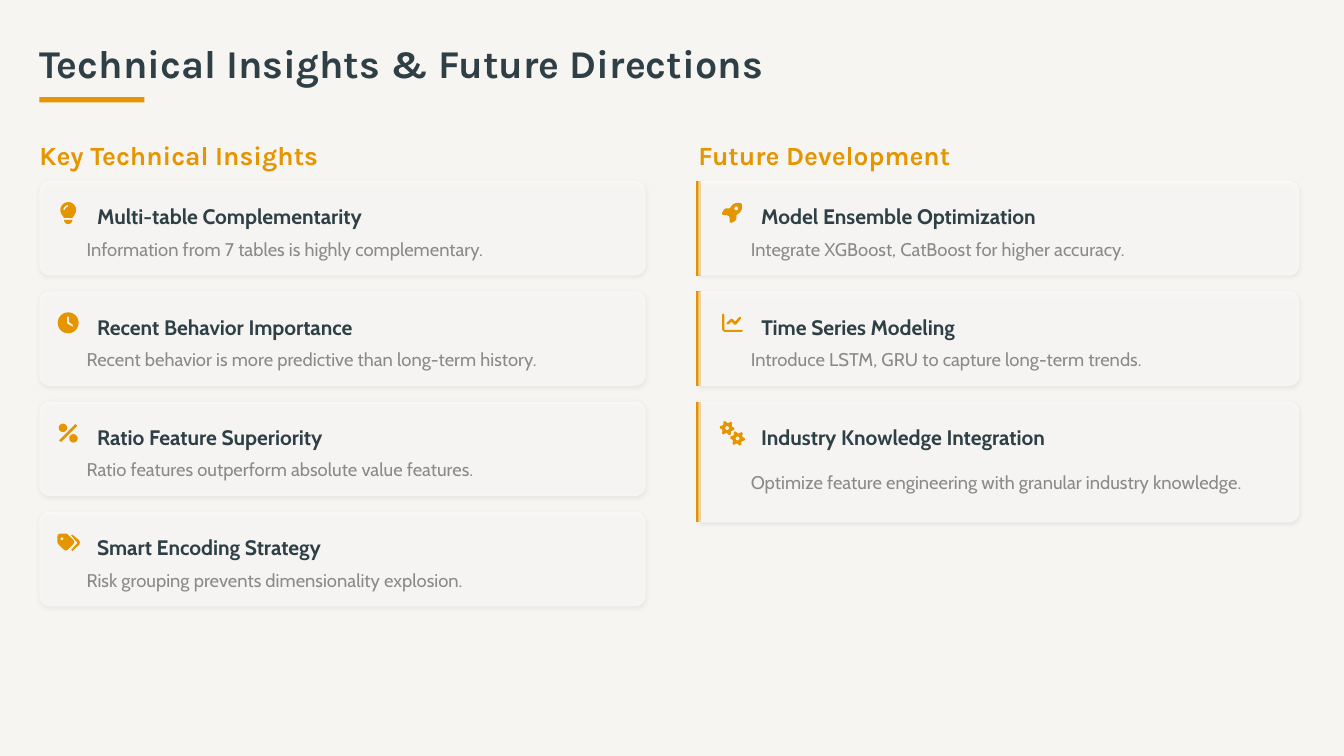
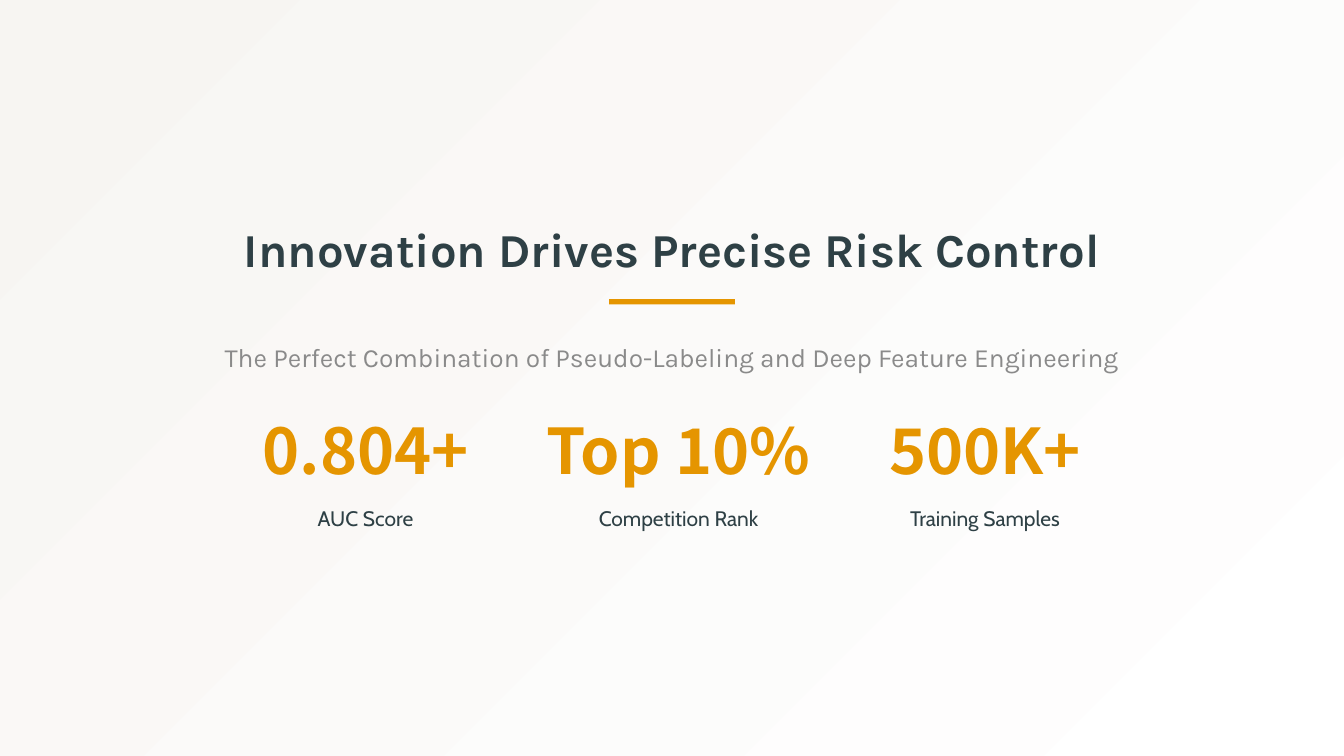
from math import cos, radians, sin

from lxml import etree
from pptx import Presentation
from pptx import util as u
from pptx.dml.color import RGBColor
from pptx.enum import shapes, text
from pptx.oxml.ns import qn

WIDTH, HEIGHT = 1024, 576
PAPER, WHITE, INK, ACCENT, GREY = "F7F5F2", "FFFFFF", "2E4045", "E59500", "8A8A8A"
MARGIN, RIGHT = 30, 532
CARD_TOP, CARD_HEIGHT, CARD_GAP, RADIUS = 138, 72, 12, 8

STYLES = {
    "title": dict(name="Karla", size=30, bold=True, color=INK),
    "heading": dict(name="Karla", size=20, bold=True, color=ACCENT, spacing=1.2),
    "card title": dict(name="Cabin", size=16, bold=True, color=INK, spacing=1.3),
    "card body": dict(name="Cabin", size=14, color=GREY, spacing=1.2),
    "closing title": dict(name="Karla", size=36, bold=True, color=INK, spacing=0.9, centred=True),
    "subtitle": dict(name="Karla", size=20, color=GREY, spacing=1.2, centred=True),
    "value": dict(name="Noto Sans CJK SC", size=48, bold=True, color=ACCENT, spacing=0.8, centred=True),
    "label": dict(name="Cabin", size=16, color=INK, spacing=1.3, centred=True),
}


def rgb(value):
    """Turn a hex string into a colour."""
    return RGBColor.from_string(value)


def arc(x, y, radius, start=0, end=360, steps=24):
    """Return points along an arc, with angles in degrees clockwise from the right."""
    angles = [radians(start + (end - start) * k / steps) for k in range(steps + 1)]
    return [(x + radius * cos(a), y + radius * sin(a)) for a in angles]


def gear(x, y):
    """Return the toothed rim and the hole of a gear."""
    rim = [arc(x, y, 5.6 if k % 4 < 2 else 4, k * 15, steps=1)[0] for k in range(24)]
    return [rim, arc(x, y, 1.5)]


ICONS = {
    "bulb": [
        arc(0, -2, 6, 150, 390) + [(3.2, 4), (-3.2, 4)],
        arc(0, 5.5, 3.2, 0, 180),
        arc(0, -2, 3.7, 180, 270) + arc(0, -2, 2.4, 270, 180),
    ],
    "clock": [
        arc(0, 0, 8),
        [(-0.8, -4.8), (0.8, -4.8), (0.8, -0.5), (4, 1.8), (3.2, 3), (-0.8, 0.5)],
    ],
    "percent": [
        arc(-4, -4, 3.2),
        arc(4, 4, 3.2),
        [(5.5, -6.9), (6.9, -5.5), (-5.5, 6.9), (-6.9, 5.5)],
    ],
    "tags": [
        [(3, -6.7), (8.2, -2.4), (8.9, -0.6), (8.2, 1.2), (3.2, 5.8), (2.2, 5),
         (7, -0.3), (2.2, -6)],
        [(-8.3, -1), (-8.3, -5.4), (-7.7, -6.8), (-6.3, -7.4), (-1.8, -7.4), (-0.4, -6.8),
         (4, -2.4), (4.6, -1), (4, 0.5), (-0.4, 4.9), (-1.7, 5.5), (-3.2, 4.9), (-7.7, 0.5)],
        arc(-4.8, -3.5, 1.1),
    ],
    "rocket": [
        [(-4.3, 1.9), (-7.4, 1.8), (-8, 0.6), (-6.3, -2.4), (-5, -3.2), (-2, -3.2),
         (0.3, -6.2), (3, -7.5), (6, -7.5), (7.3, -6.3), (7.3, -3), (6, -0.3), (3, 2),
         (3, 4.8), (2.2, 6.3), (-0.8, 7.9), (-2, 7.2), (-2, 4), (-2.7, 2.6)],
        arc(3, -3.2, 1.5),
    ],
    "chart": [
        [(-7.9, -6.2), (-7, -7), (-6.1, -6.2), (-6.1, 5.3), (7.2, 5.3), (8, 6.1),
         (7.2, 7), (-6, 7), (-7.9, 5.3)],
        [(6.5, -3.1), (6.5, -4.4), (5.2, -4.4), (2.2, -1), (0, -3), (-1.2, -3),
         (-4.3, 0), (-4.3, 1.2), (-3, 1.3), (-0.6, -0.9), (1.5, 1.4), (2.8, 1.4)],
    ],
    "gears": gear(-4, -3.8) + gear(4, 4.1),
}

INSIGHTS = [
    ("bulb", "Multi-table Complementarity", 244,
     "Information from 7 tables is highly complementary.", 20),
    ("clock", "Recent Behavior Importance", 237,
     "Recent behavior is more predictive than long-term history.", 20),
    ("percent", "Ratio Feature Superiority", 210,
     "Ratio features outperform absolute value features.", 20),
    ("tags", "Smart Encoding Strategy", 208,
     "Risk grouping prevents dimensionality explosion.", 20),
]
PLANS = [
    ("rocket", "Model Ensemble Optimization", 252,
     "Integrate XGBoost, CatBoost for higher accuracy.", 20),
    ("chart", "Time Series Modeling", 182,
     "Introduce LSTM, GRU to capture long-term trends.", 20),
    ("gears", "Industry Knowledge Integration", 266,
     "Optimize feature engineering with granular industry knowledge.", 40),
]
STATS = [
    ("0.804+", "AUC Score", 193),
    ("Top 10%", "Competition Rank", 236),
    ("500K+", "Training Samples", 183),
]


class Painter:
    """Hold the deck style and draw on the current page."""

    def __init__(self):
        """Start an empty deck."""
        self.deck = Presentation()
        self.deck.slide_width, self.deck.slide_height = u.Pt(WIDTH), u.Pt(HEIGHT)
        self.page = None

    def new_page(self):
        """Add a blank page on the paper colour."""
        self.page = self.deck.slides.add_slide(self.deck.slide_layouts[6])
        fill = self.page.background.fill
        fill.solid()
        fill.fore_color.rgb = rgb(PAPER)

    def finish(self, shape, color):
        """Give a shape a plain fill with no line and no shadow."""
        shape.shadow.inherit = False
        shape.line.fill.background()
        shape.fill.solid()
        shape.fill.fore_color.rgb = rgb(color)
        return shape

    def preset(self, kind, x, y, width, height, color):
        """Draw a preset shape."""
        frame = map(u.Pt, (x, y, width, height))
        return self.finish(self.page.shapes.add_shape(kind, *frame), color)

    def bar(self, x, y, width):
        """Draw an accent bar under a title."""
        self.preset(shapes.MSO_SHAPE.RECTANGLE, x, y, width, 4, ACCENT)

    def gradient(self):
        """Cover the page with a diagonal gradient."""
        fill = self.preset(shapes.MSO_SHAPE.RECTANGLE, 0, 0, WIDTH, HEIGHT, PAPER).fill
        fill.gradient()
        fill.gradient_angle = 315
        for stop, position, color in zip(fill.gradient_stops, (0, 1), (PAPER, WHITE)):
            stop.position = position
            stop.color.rgb = rgb(color)

    def outline(self, x, y, contours, color):
        """Draw closed contours around an origin as one shape."""
        placed = [[(u.Pt(x + dx), u.Pt(y + dy)) for dx, dy in points] for points in contours]
        builder = self.page.shapes.build_freeform(*placed[0][0])
        for number, points in enumerate(placed):
            if number:
                builder.move_to(*points[0])
            builder.add_line_segments(points[1:], close=True)
        return self.finish(builder.convert_to_shape(), color)

    def words(self, x, y, width, height, content, style):
        """Add a text box in a named style."""
        look = STYLES[style]
        box = self.page.shapes.add_textbox(*map(u.Pt, (x, y, width, height)))
        frame = dict(word_wrap=True, vertical_anchor=text.MSO_ANCHOR.MIDDLE,
                     margin_left=0, margin_top=0, margin_right=0, margin_bottom=0)
        for key, value in frame.items():
            setattr(box.text_frame, key, value)
        para = box.text_frame.paragraphs[0]
        para.line_spacing = look.get("spacing")
        if look.get("centred"):
            para.alignment = text.PP_ALIGN.CENTER
        span = para.add_run()
        span.text = content
        font = dict(name=look["name"], size=u.Pt(look["size"]), bold=look.get("bold", False))
        for key, value in font.items():
            setattr(span.font, key, value)
        span.font.color.rgb = rgb(look["color"])

    def edge(self, x, top, bottom):
        """Draw the accent line at the left of a card."""
        line = self.page.shapes.add_connector(
            shapes.MSO_CONNECTOR.STRAIGHT, *map(u.Pt, (x, top, x, bottom)))
        line.line.color.rgb = rgb(ACCENT)
        line.line.width = u.Pt(4)
        etree.SubElement(line._element.spPr, qn("a:effectLst"))

    def veil(self, shape):
        """Make a card translucent and give it a soft shadow."""
        properties = shape._element.spPr
        color = properties.find(qn("a:solidFill")).find(qn("a:srgbClr"))
        etree.SubElement(color, qn("a:alpha"), val="60000")
        shadow = etree.SubElement(
            properties.find(qn("a:effectLst")), qn("a:outerShdw"), blurRad=str(u.Pt(3)),
            dist=str(u.Pt(1)), dir="5400000", algn="ctr", rotWithShape="0")
        tint = etree.SubElement(shadow, qn("a:srgbClr"), val="000000")
        etree.SubElement(tint, qn("a:alpha"), val="10000")

    def card(self, x, y, width, edged, icon, title, title_width, body, body_height):
        """Draw a card with an icon, a title and a line of text."""
        height = CARD_HEIGHT + body_height - 20
        inset = 4 if edged else 0
        if edged:
            self.edge(x, y, y + height)
            right, low = width - RADIUS, height - RADIUS
            shape = self.outline(x, y, [
                [(0, 0)] + arc(right, RADIUS, RADIUS, -90, 0)
                + arc(right, low, RADIUS, 0, 90) + [(0, height)]], WHITE)
        else:
            shape = self.preset(
                shapes.MSO_SHAPE.ROUNDED_RECTANGLE, x, y, width, height, WHITE)
            shape.adjustments[0] = RADIUS / height
        self.veil(shape)
        self.outline(x + inset + 22, y + 24, ICONS[icon], ACCENT)
        self.words(x + inset + 44, y + 12, title_width, 24, title, "card title")
        self.words(x + inset + 36, y + 40, width - 41, body_height, body, "card body")

    def column(self, x, width, heading, cards, edged=False):
        """Draw a heading with its stack of cards."""
        self.words(x, 102, 472, 28, heading, "heading")
        for row, card in enumerate(cards):
            top = CARD_TOP + row * (CARD_HEIGHT + CARD_GAP)
            self.card(x, top, width, edged, *card)

    def centred(self, y, width, height, content, style):
        """Add a text box in the middle of the page."""
        self.words((WIDTH - width) / 2, y, width, height, content, style)

    def stats(self, x, gap):
        """Draw the row of key figures with their labels."""
        for value, label, width in STATS:
            self.words(x, 324, width, 48, value, "value")
            self.words(x + 8, 380, width - 16, 24, label, "label")
            x += width + gap


def main():
    """Build both pages and save the deck."""
    painter = Painter()
    painter.new_page()
    painter.words(MARGIN, 30, 979, 36, "Technical Insights & Future Directions", "title")
    painter.bar(MARGIN, 74, 80)
    painter.column(MARGIN, 462, "Key Technical Insights", INSIGHTS)
    painter.column(RIGHT, 458, "Future Development", PLANS, edged=True)

    painter.new_page()
    painter.gradient()
    painter.centred(172, 695, 40, "Innovation Drives Precise Risk Control", "closing title")
    painter.bar(464, 228, 96)
    painter.centred(256, 713, 28, "The Perfect Combination of Pseudo-Labeling and "
                    "Deep Feature Engineering", "subtitle")
    painter.stats(182, 24)
    painter.deck.save("out.pptx")


if __name__ == "__main__":
    main()
